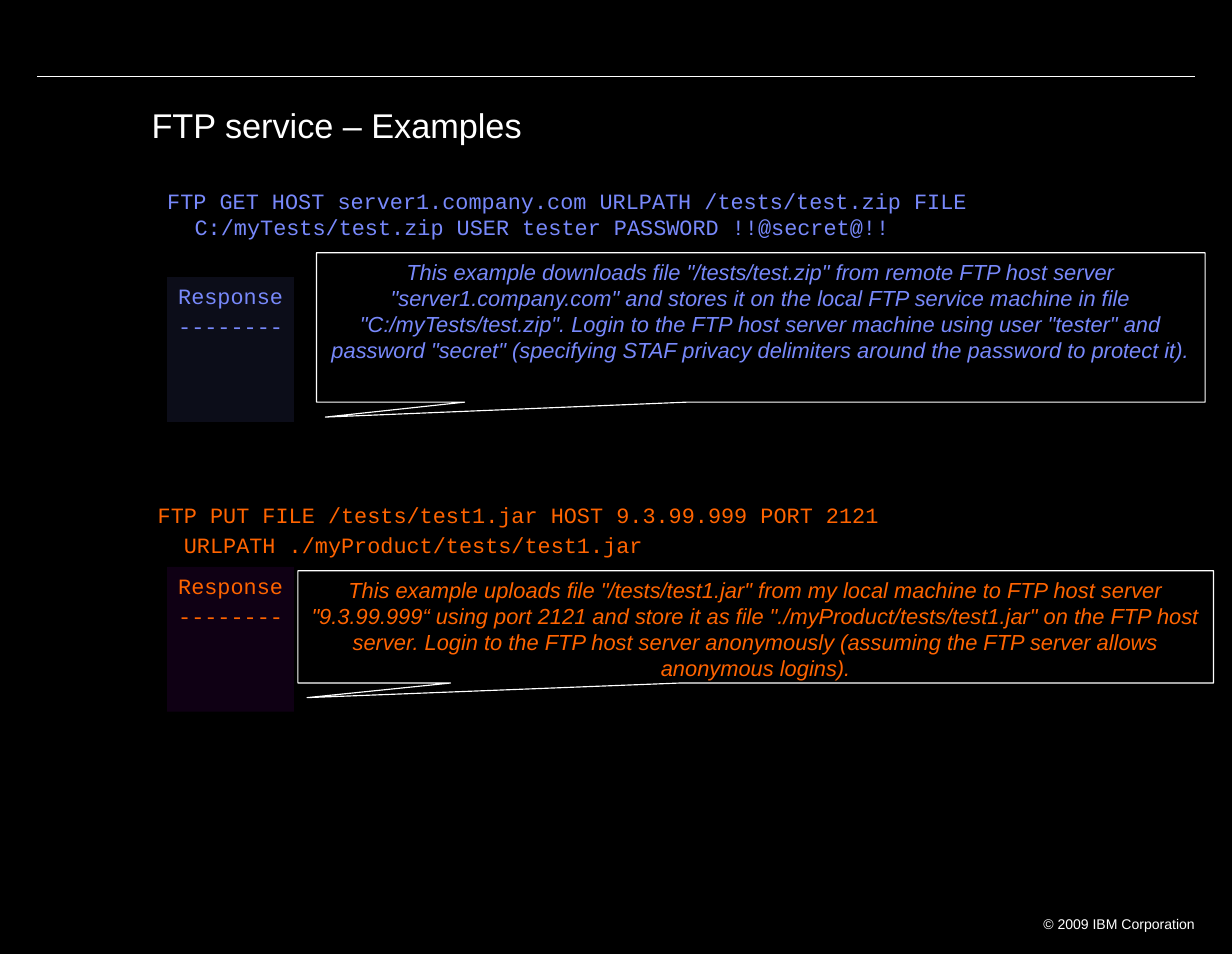
from dataclasses import dataclass

from lxml.etree import SubElement
from pptx import Presentation
from pptx.dml.color import RGBColor
from pptx.enum.shapes import MSO_CONNECTOR, MSO_SHAPE
from pptx.enum.text import MSO_ANCHOR, PP_ALIGN
from pptx.oxml.ns import qn
from pptx.util import Pt

WHITE, BLACK = "FFFFFF", "000000"
BLUE, ORANGE, PURPLE = "7889FB", "FF6400", "9900CC"
SANS, MONO = "Arial", "Courier New"


@dataclass
class Box:
    left: float
    top: float
    width: float
    height: float


@dataclass
class TextStyle:
    color: str
    font: str = SANS
    size: float = 14
    italic: bool = False
    align: PP_ALIGN = PP_ALIGN.LEFT
    inset_x: float = 7.2
    inset_y: float = 3.6
    wrap: bool = True
    space_after: float = 0
    line_spacing: float = 1.0
    hanging: float = 0


@dataclass
class Example:
    color: str
    panel_color: str
    command: list[str]
    command_box: Box
    command_inset: tuple[float, float]
    hanging: float
    panel_top: float
    note: str
    note_box: Box
    pointer_y: float


def rgb(color: str) -> RGBColor:
    return RGBColor.from_string(color)


def write(s, lines: list[str], style: TextStyle) -> None:
    tf = s.text_frame
    tf.word_wrap = style.wrap
    tf.vertical_anchor = MSO_ANCHOR.TOP
    tf.margin_left = tf.margin_right = Pt(style.inset_x)
    tf.margin_top = tf.margin_bottom = Pt(style.inset_y)
    for i, line in enumerate(lines):
        p = tf.paragraphs[0] if i == 0 else tf.add_paragraph()
        p.text = line
        p.alignment = style.align
        p.space_after = Pt(style.space_after)
        p.line_spacing = style.line_spacing
        if style.hanging:
            pPr = p._p.get_or_add_pPr()
            pPr.set("marL", str(Pt(style.hanging)))
            pPr.set("indent", str(-Pt(style.hanging)))
        p.font.name = style.font
        p.font.size = Pt(style.size)
        p.font.italic = style.italic
        p.font.color.rgb = rgb(style.color)


def place(box: Box) -> tuple[Pt, Pt, Pt, Pt]:
    return Pt(box.left), Pt(box.top), Pt(box.width), Pt(box.height)


def add_text(slide, box: Box, lines: list[str], style: TextStyle) -> None:
    write(slide.shapes.add_textbox(*place(box)), lines, style)


def add_filled(slide, kind: MSO_SHAPE, box: Box, fill: str):
    s = slide.shapes.add_shape(kind, *place(box))
    s.shadow.inherit = False
    s.fill.solid()
    s.fill.fore_color.rgb = rgb(fill)
    return s


def add_example(slide, ex: Example) -> None:
    # Command
    inset_x, inset_y = ex.command_inset
    add_text(slide, ex.command_box, ex.command,
             TextStyle(ex.color, MONO, inset_x=inset_x, inset_y=inset_y,
                       space_after=2.6, hanging=ex.hanging))

    # Translucent response panel
    panel = add_filled(slide, MSO_SHAPE.RECTANGLE,
                       Box(107.3, ex.panel_top, 81.4, 92.9), ex.panel_color)
    panel.line.fill.background()
    tint = panel._element.spPr.find(".//" + qn("a:srgbClr"))
    SubElement(tint, qn("a:alpha")).set("val", "10000")
    write(panel, ["Response", "--------"],
          TextStyle(ex.color, MONO, wrap=False, space_after=2.6))

    # Explanation callout
    note = add_filled(slide, MSO_SHAPE.RECTANGULAR_CALLOUT, ex.note_box, BLACK)
    note.line.color.rgb = rgb(WHITE)
    note.line.width = Pt(0.75)
    note.adjustments[0] = -0.49
    note.adjustments[1] = ex.pointer_y
    write(note, [ex.note], TextStyle(ex.color, italic=True, align=PP_ALIGN.CENTER))


EXAMPLES = [
    Example(
        BLUE, BLUE,
        ["FTP GET HOST server1.company.com URLPATH /tests/test.zip FILE\v"
         " C:/myTests/test.zip USER tester PASSWORD !!@secret@!!"],
        Box(107.3, 120.2, 682.6, 33.8), (0, 0), 9.2, 177.8,
        'This example downloads file "/tests/test.zip" from remote FTP host server '
        '"server1.company.com" and stores it on the local FTP service machine in file '
        '"C:/myTests/test.zip". Login to the FTP host server machine using user "tester" '
        'and password "secret" (specifying STAF privacy delimiters around the password '
        'to protect it).',
        Box(203.1, 162.2, 570.2, 95.8), 0.6),
    Example(
        ORANGE, PURPLE,
        ["FTP PUT FILE /tests/test1.jar HOST 9.3.99.999 PORT 2121",
         "  URLPATH ./myProduct/tests/test1.jar"],
        Box(94.1, 318.2, 500, 43.9), (7.2, 3.6), 0, 363.6,
        'This example uploads file "/tests/test1.jar" from my local machine to FTP host '
        'server "9.3.99.999“ using port 2121 and store it as file '
        '"./myProduct/tests/test1.jar" on the FTP host server. Login to the FTP host '
        'server anonymously (assuming the FTP server allows anonymous logins).',
        Box(191.2, 366.2, 587.5, 72), 0.63),
]


def main() -> None:
    prs = Presentation()
    prs.slide_width, prs.slide_height = Pt(790.56), Pt(612)
    slide = prs.slides.add_slide(prs.slide_layouts[6])
    slide.background.fill.solid()
    slide.background.fill.fore_color.rgb = rgb(BLACK)

    # Header rule
    rule = slide.shapes.add_connector(MSO_CONNECTOR.STRAIGHT,
                                      Pt(23.8), Pt(49), Pt(766.8), Pt(49))
    rule.line.color.rgb = rgb(WHITE)
    rule.line.width = Pt(0.75)
    SubElement(rule._element.spPr, qn("a:effectLst"))

    # Title and copyright
    add_text(slide, Box(89.3, 65.7, 712.8, 44.6), ["FTP service – Examples"],
             TextStyle(WHITE, size=22, inset_x=8, inset_y=4, line_spacing=0.9))
    add_text(slide, Box(655.8, 583.3, 118.8, 16.6), ["© 2009 IBM Corporation"],
             TextStyle(WHITE, size=9, align=PP_ALIGN.RIGHT, inset_x=8, inset_y=4))

    # Examples
    for ex in EXAMPLES:
        add_example(slide, ex)

    prs.save("out.pptx")


if __name__ == "__main__":
    main()
